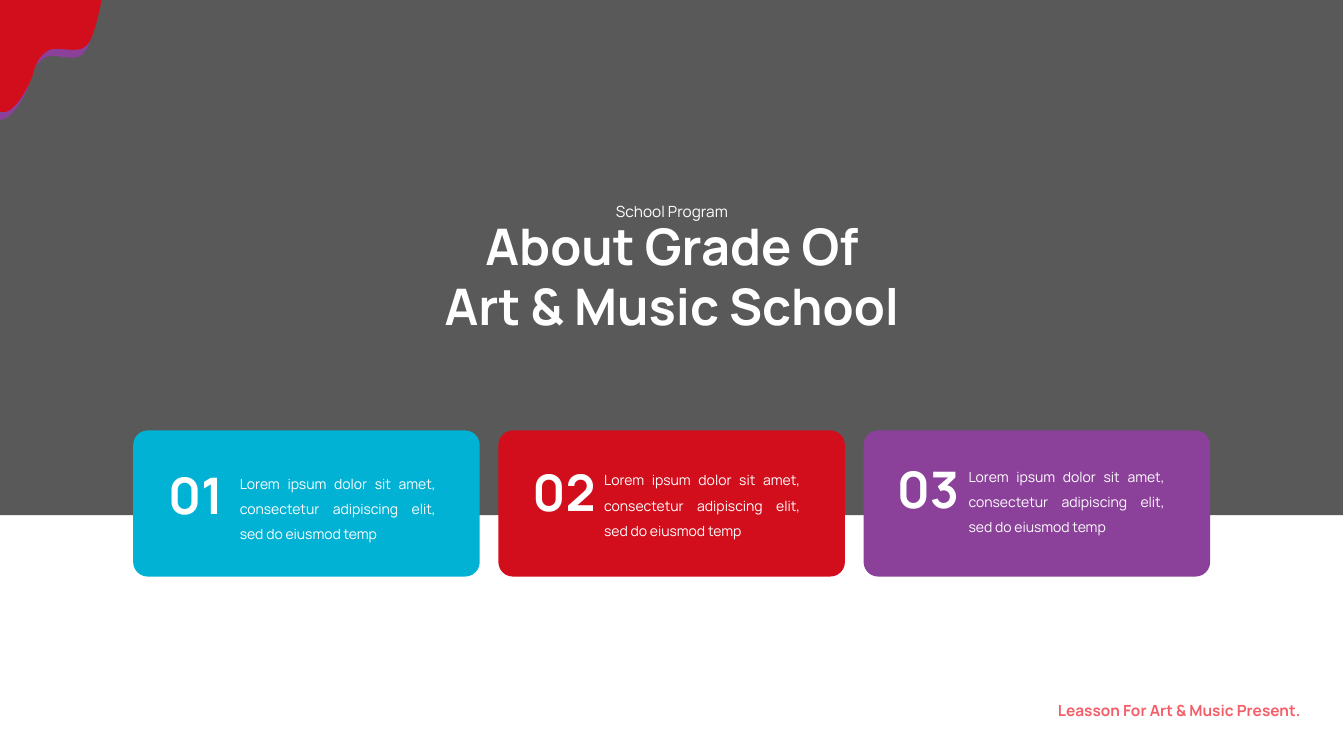
from dataclasses import dataclass

from pptx import Presentation
from pptx import util as u
from pptx.dml.color import RGBColor
from pptx.enum import shapes, text
from pptx.oxml.ns import qn
from lxml import etree

BLACK = RGBColor(0x00, 0x00, 0x00)
WHITE = RGBColor(0xFF, 0xFF, 0xFF)
CYAN = RGBColor(0x01, 0xB2, 0xD4)
RED = RGBColor(0xD2, 0x0E, 0x1C)
PURPLE = RGBColor(0x8B, 0x40, 0x9A)
CORAL = RGBColor(0xF4, 0x5E, 0x69)

FONT = "Manrope"
COLS, ROWS = 133.4, 75  # square grid cells
CELL = u.Inches(0.1)
LOREM = "Lorem ipsum dolor sit amet, consectetur adipiscing elit, sed do eiusmod temp"
LEFT, CENTER, RIGHT, JUSTIFY = (
    text.PP_ALIGN.LEFT, text.PP_ALIGN.CENTER, text.PP_ALIGN.RIGHT, text.PP_ALIGN.JUSTIFY)

Point = tuple[float, float]


@dataclass(frozen=True)
class Box:
    """Left, top, width and height in grid cells."""
    x: float
    y: float
    w: float
    h: float

    def emu(self) -> list[int]:
        return [round(v * CELL) for v in (self.x, self.y, self.w, self.h)]


@dataclass(frozen=True)
class Style:
    size: float
    color: RGBColor = WHITE
    bold: bool = False
    align: text.PP_ALIGN = LEFT
    spacing: float = 1.0


@dataclass(frozen=True)
class Splash:
    """Paint in the corner: straight start, chained Bezier curves, then closed."""
    color: RGBColor
    start: list[Point]
    curves: list[tuple[Point, Point, Point]]


@dataclass(frozen=True)
class Card:
    number: str
    color: RGBColor


SPLASHES = [
    Splash(PURPLE, [(0, 0.8), (9.8, 0.8)], [
        ((9.5, 1.8), (9.1, 4.5), (8.2, 5.4)),
        ((7.3, 6.2), (5.4, 5.2), (4.5, 5.7)),
        ((3.6, 6.2), (3.2, 7.1), (2.9, 8.3)),
        ((2.6, 9.4), (1.2, 11.9), (0, 11.9))]),
    Splash(RED, [(0, 11.1), (0, 0), (10.1, 0), (10.1, 0.1)], [
        ((9.8, 1.1), (9.4, 3.8), (8.5, 4.6)),
        ((7.6, 5.4), (5.7, 4.5), (4.8, 5)),
        ((3.9, 5.5), (3.5, 6.4), (3.2, 7.6)),
        ((2.8, 8.7), (1.3, 11.5), (0.1, 11.1))]),
]
CARDS = [Card("01", CYAN), Card("02", RED), Card("03", PURPLE)]
CARD_STEP = 36.25
TEXT_STEP, TEXT_RISE = 36.17, 0.34

TITLE = Style(36, bold=True, align=CENTER)
LABEL = Style(11, align=CENTER, spacing=1.5)
FOOTER = Style(11, CORAL, True, RIGHT, 1.5)
NUMBER = Style(36, bold=True)
BODY = Style(10, align=JUSTIFY, spacing=1.5)


def paint(sp, color: RGBColor) -> None:
    sp.shadow.inherit = False
    sp.fill.solid()
    sp.fill.fore_color.rgb = color
    sp.line.fill.background()


def add_panel(s, kind: shapes.MSO_SHAPE, box: Box, color: RGBColor):
    sp = s.shapes.add_shape(kind, *box.emu())
    paint(sp, color)
    return sp


def add_splash(s, splash: Splash) -> None:
    points = splash.start + [curve[-1] for curve in splash.curves]
    start, *rest = [(round(x * CELL), round(y * CELL)) for x, y in points]
    builder = s.shapes.build_freeform(*start)
    builder.add_line_segments(rest, close=True)
    sp = builder.convert_to_shape()
    paint(sp, splash.color)

    # Bend the segments that follow the straight start
    segments = list(sp.element.iter(qn("a:lnTo")))[len(splash.start) - 1:]
    for segment, curve in zip(segments, splash.curves):
        bend = etree.Element(qn("a:cubicBezTo"))
        for x, y in curve:
            etree.SubElement(bend, qn("a:pt"), x=str(round(x * CELL) - sp.left),
                             y=str(round(y * CELL) - sp.top))
        segment.getparent().replace(segment, bend)


def write(sp, lines: list[str], style: Style) -> None:
    tf = sp.text_frame
    tf.word_wrap = True
    tf.auto_size = text.MSO_AUTO_SIZE.SHAPE_TO_FIT_TEXT
    tf.vertical_anchor = text.MSO_ANCHOR.TOP
    for i, line in enumerate(lines):
        p = tf.add_paragraph() if i else tf.paragraphs[0]
        p.alignment, p.line_spacing = style.align, style.spacing
        p.space_before = u.Pt(0)
        r = p.add_run()
        r.text = line
        r.font.name, r.font.size, r.font.bold = FONT, u.Pt(style.size), style.bold
        r.font.color.rgb = style.color


def add_text(s, box: Box, line: str, style: Style) -> None:
    write(s.shapes.add_textbox(*box.emu()), [line], style)


def main() -> None:
    prs = Presentation()
    prs.slide_width, prs.slide_height = round(COLS * CELL), round(ROWS * CELL)
    s = prs.slides.add_slide(prs.slide_layouts[5])
    title = s.shapes.title

    # Translucent backdrop, placed behind the title
    backdrop = add_panel(s, shapes.MSO_SHAPE.RECTANGLE, Box(0, 0, 133.3, 51.1), BLACK)
    color = next(backdrop.element.iter(qn("a:srgbClr")))
    etree.SubElement(color, qn("a:alpha"), val="65000")
    title.element.addprevious(backdrop.element)

    # Corner paint
    for splash in SPLASHES:
        add_splash(s, splash)

    # Heading and footer
    title.left, title.top, title.width, title.height = Box(32.1, 20.8, 69.2, 13).emu()
    write(title, ["About Grade Of", "Art & Music School"], TITLE)
    add_text(s, Box(58.3, 18.6, 16.8, 3.8), "School Program", LABEL)
    add_text(s, Box(92.6, 68.1, 37.5, 3.8), "Leasson For Art & Music Present.", FOOTER)

    # Numbered cards
    for i, card in enumerate(CARDS):
        box = Box(13.22 + i * CARD_STEP, 42.7, 34.4, 14.5)
        panel = add_panel(s, shapes.MSO_SHAPE.ROUNDED_RECTANGLE, box, card.color)
        panel.adjustments[0] = 0.1
        dx, dy = i * TEXT_STEP, -i * TEXT_RISE
        add_text(s, Box(22.82 + dx, 45.82 + dy, 21.4, 8.5), LOREM, BODY)
        add_text(s, Box(15.7 + dx, 45.6 + dy, 10.3, 7), card.number, NUMBER)

    prs.save("out.pptx")


if __name__ == "__main__":
    main()
